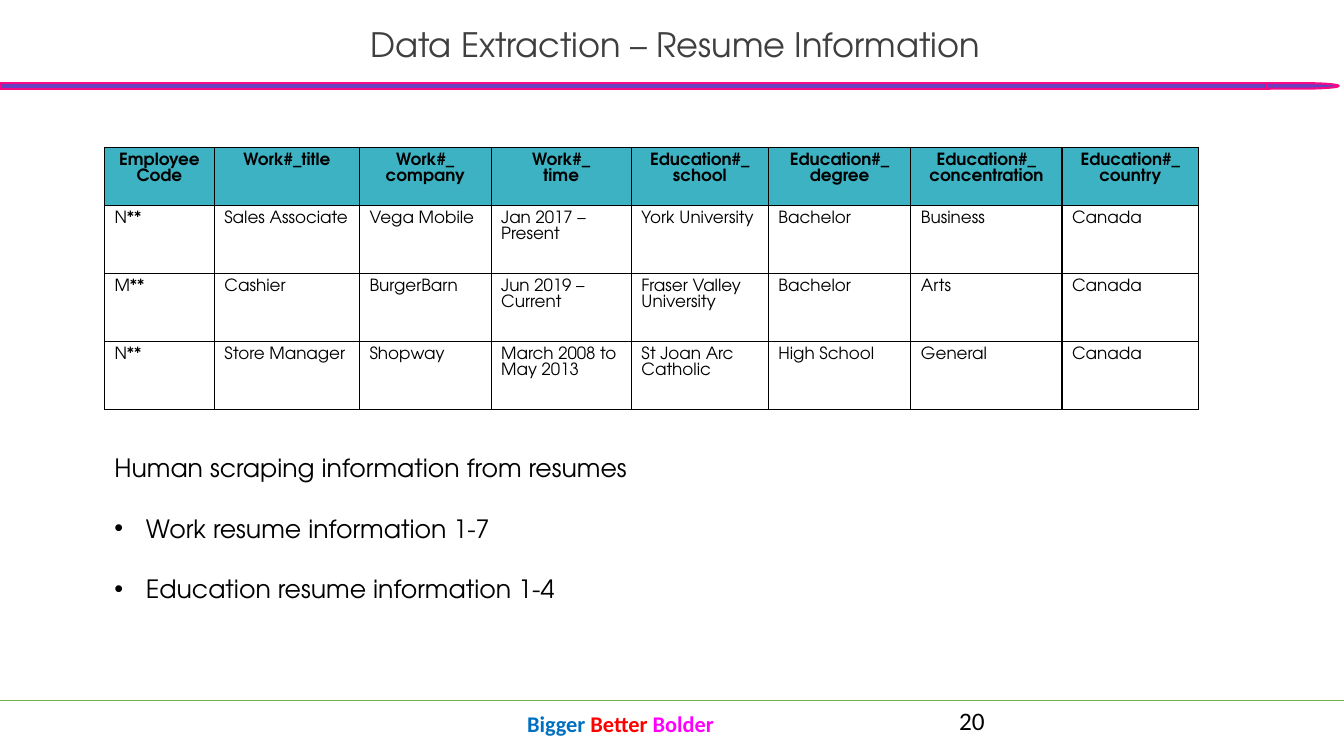
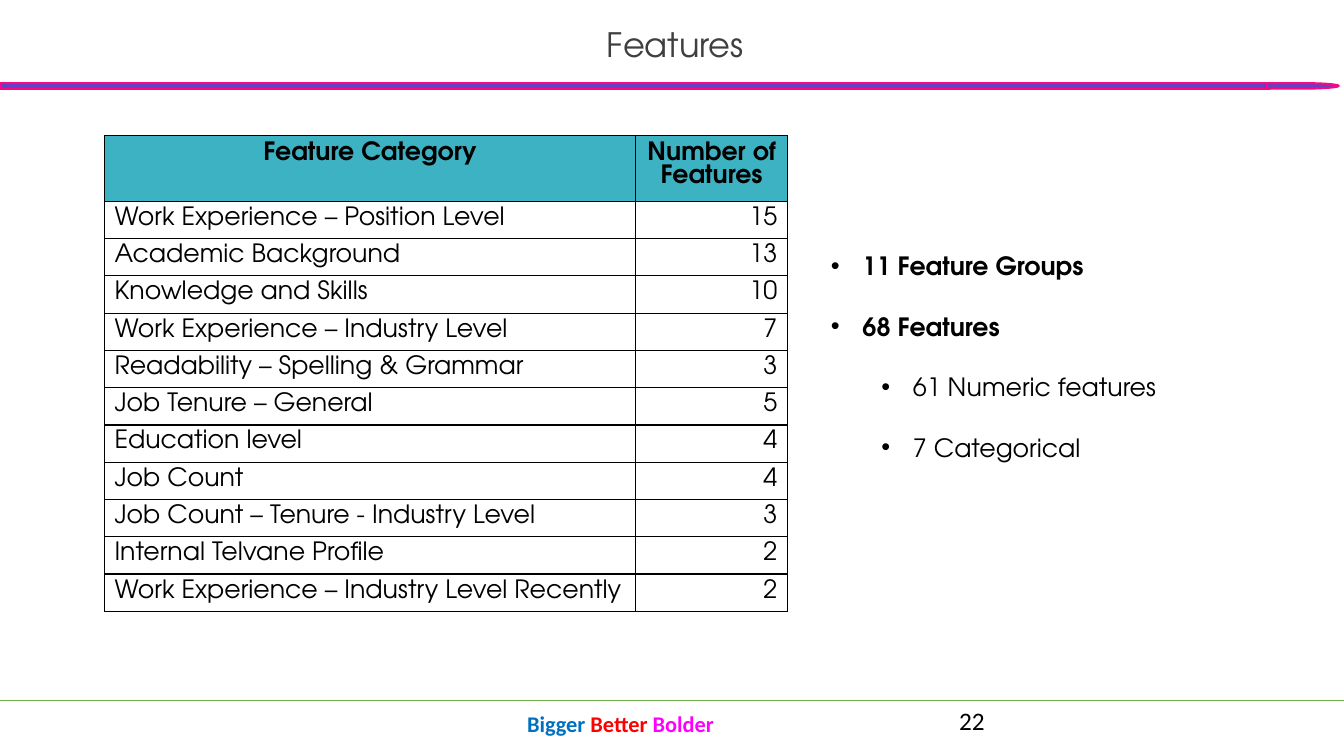
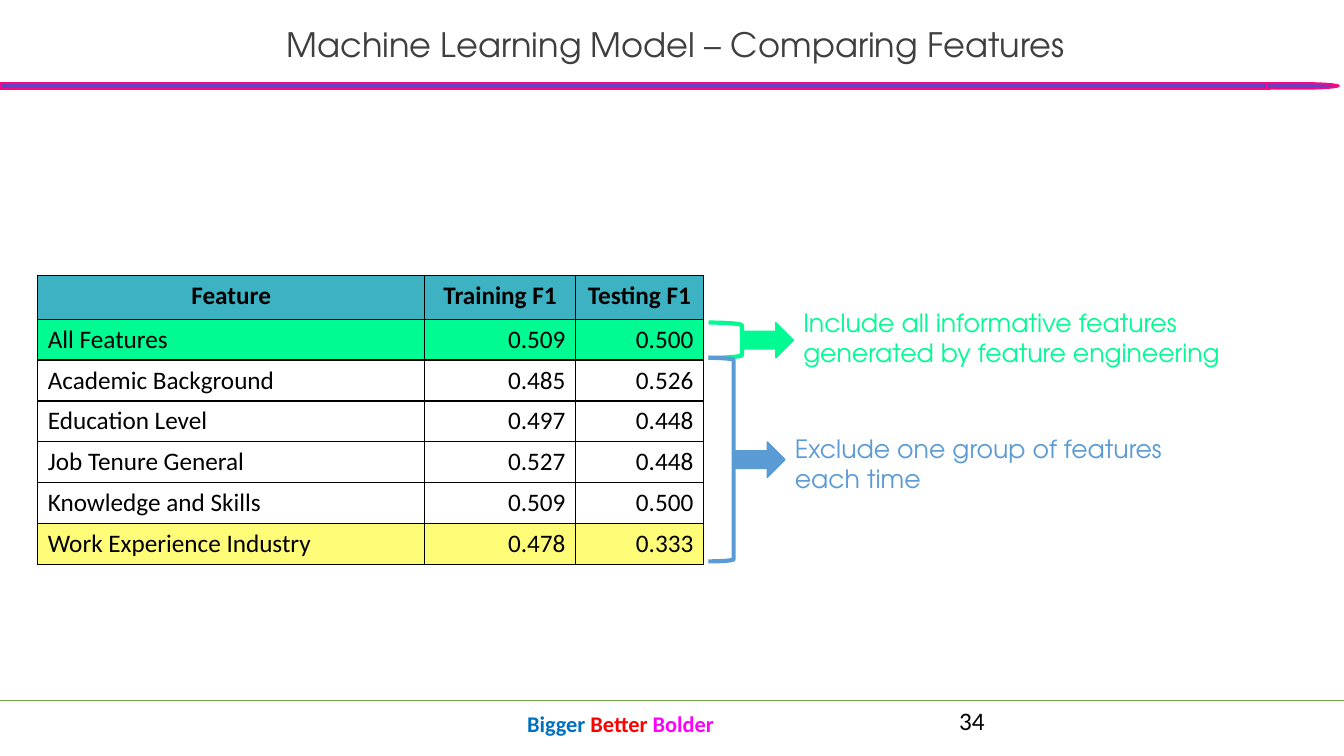
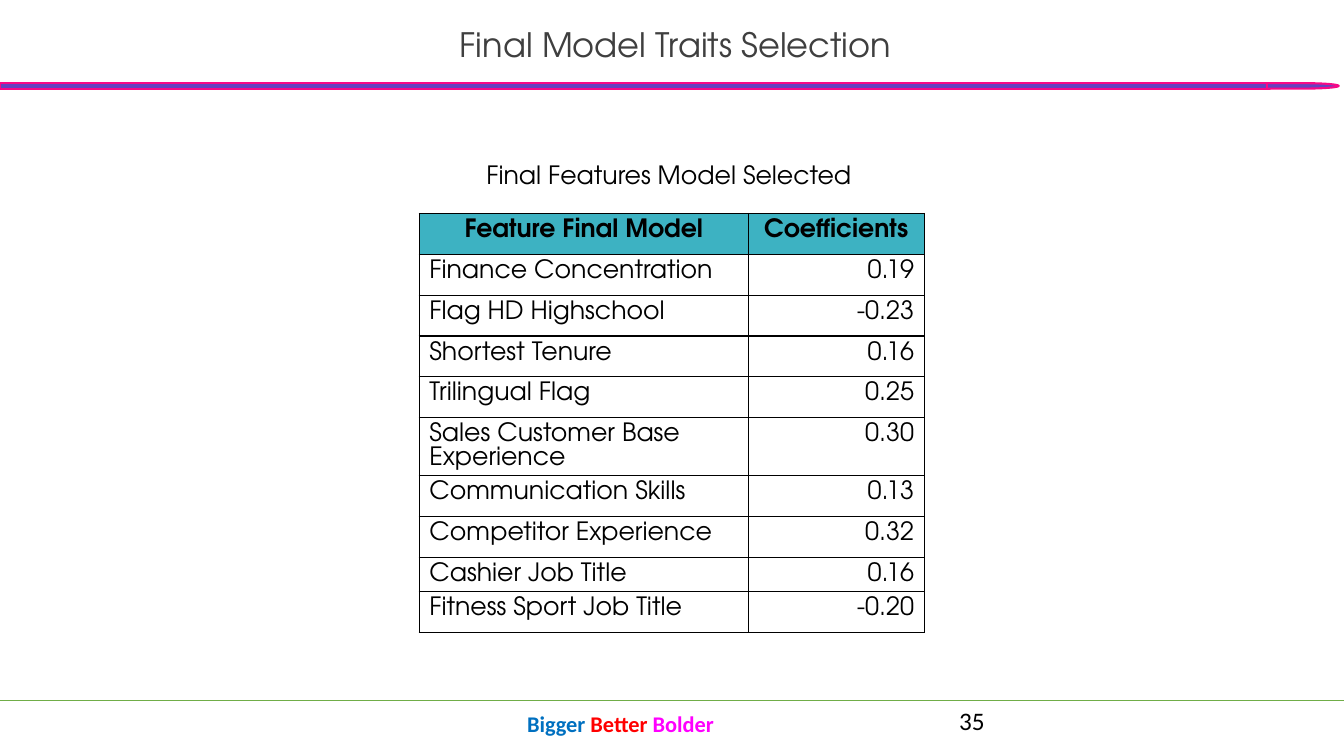
from lxml import etree
from pptx import Presentation
from pptx.dml.color import RGBColor
from pptx.enum.shapes import MSO_CONNECTOR, MSO_SHAPE
from pptx.enum.text import MSO_ANCHOR, MSO_AUTO_SIZE, PP_ALIGN
from pptx.oxml.ns import qn
from pptx.util import Pt

C = {
    "black": "000000", "title": "3F3F3F", "header": "3DB2C2",
    "band": "6540C0", "band_edge": "F70986", "rule": "70AD47",
    "slogan_blue": "0070C0", "slogan_red": "FF0000", "slogan_pink": "FF00FF",
    "green": "00FB92", "blue": "5B9BD5", "yellow": "FFFD78",
}
HEADING, PLAIN = "TeX Gyre Adventor", "Calibri"
SLIDE_W, SLIDE_H = 960, 540
LEFT = 74.6
LINE_GAP = 21.6
TIGHT = 0.95  # line pitch in table cells, as a share of the text size


def rgb(name):
    return RGBColor.from_string(C[name])


def style(p, size=18, font=HEADING, color="black", bold=False):
    for r in p.runs:
        r.font.size = Pt(size)
        r.font.name = font
        r.font.bold = bold
        r.font.color.rgb = rgb(color)


def add_text(s, x, y, w, h, text, wrap=True, **look):
    tf = s.shapes.add_textbox(Pt(x), Pt(y), Pt(w), Pt(h)).text_frame
    tf.word_wrap = wrap
    tf.text = text
    for p in tf.paragraphs:
        style(p, **look)
    return tf


def add_shape(s, kind, x, y, w, h, line, weight, fill=None):
    sp = s.shapes.add_shape(kind, Pt(x), Pt(y), Pt(w), Pt(h))
    sp.shadow.inherit = False
    if fill:
        sp.fill.solid()
        sp.fill.fore_color.rgb = rgb(fill)
    else:
        sp.fill.background()
    sp.line.color.rgb = rgb(line)
    sp.line.width = Pt(weight)
    return sp


def set_bullet(p, left, hang=22.5):
    pPr = p._p.get_or_add_pPr()
    pPr.set("marL", str(Pt(left)))
    pPr.set("indent", str(-Pt(hang)))
    etree.SubElement(pPr, qn("a:buFont"), typeface="Arial")
    etree.SubElement(pPr, qn("a:buChar"), char="•")


def add_list(s, x, y, w, h, items):
    """Items are (text, level, bold); level None means no bullet."""
    tf = add_text(s, x, y, w, h, "\n".join(text for text, _, _ in items))
    for i, (p, (_, level, bold)) in enumerate(zip(tf.paragraphs, items)):
        if i:
            p.space_before = Pt(LINE_GAP)
        if level is not None:
            set_bullet(p, 22.5 + 36 * level)
            p.level = level
        style(p, bold=bold)


def set_borders(cell, weight=1):
    tcPr = cell._tc.get_or_add_tcPr()
    for side in ("a:lnL", "a:lnR", "a:lnT", "a:lnB"):
        ln = etree.SubElement(tcPr, qn(side), w=str(Pt(weight)))
        fill = etree.SubElement(ln, qn("a:solidFill"))
        etree.SubElement(fill, qn("a:srgbClr"), val=C["black"])


def add_grid(s, x, y, cols, heights, rows, size=18, font=HEADING,
             numeric=True, fills=None):
    """Table with a coloured header row; fills maps a row index to a colour."""
    fills = {0: "header", **(fills or {})}
    table = s.shapes.add_table(len(rows), len(cols), Pt(x), Pt(y),
                               Pt(sum(cols)), Pt(sum(heights))).table
    table.first_row = table.horz_banding = False
    for col, width in zip(table.columns, cols):
        col.width = Pt(width)
    for i, (row, height, texts) in enumerate(zip(table.rows, heights, rows)):
        row.height = Pt(height)
        for j, (cell, text) in enumerate(zip(row.cells, texts)):
            set_borders(cell)
            if i in fills:
                cell.fill.solid()
                cell.fill.fore_color.rgb = rgb(fills[i])
            else:
                cell.fill.background()
            cell.text_frame.text = text
            for p in cell.text_frame.paragraphs:
                if i == 0:
                    p.alignment = PP_ALIGN.CENTER
                elif numeric and j:
                    p.alignment = PP_ALIGN.RIGHT
                if font == HEADING:
                    p.line_spacing = Pt(size * TIGHT)
                style(p, size, font, bold=i == 0)


def add_callout(s, x, y, w, h, color, text, text_y, text_w):
    """Bracket in the given box, an arrow from its middle, then the text."""
    arrow_w, arrow_h = 36.7, 25.2
    add_shape(s, MSO_SHAPE.RIGHT_BRACKET, x, y, w, h, color, 3)
    add_shape(s, MSO_SHAPE.RIGHT_ARROW, x + w, y + (h - arrow_h) / 2,
              arrow_w, arrow_h, color, 1, color)
    add_text(s, x + w + arrow_w, text_y, text_w, 51, text, color=color)


def build_layout(layout, s):
    """Draw the shared band, rule and slogan on s and move them to the layout."""
    for ph in list(layout.placeholders)[1:]:
        ph.element.getparent().remove(ph.element)
    rule = s.shapes.add_connector(MSO_CONNECTOR.STRAIGHT, 0, Pt(500.4),
                                  Pt(SLIDE_W), Pt(500.4))
    rule.line.color.rgb = rgb("rule")
    rule.line.width = Pt(0.5)
    etree.SubElement(rule.element.spPr, qn("a:effectLst"))
    for kind, x, w in ((MSO_SHAPE.RECTANGLE, 0, 907),
                       (MSO_SHAPE.FLOWCHART_DELAY, 905, 51.3)):
        add_shape(s, kind, x, 59.4, w, 3.9, "band_edge", 1.5, "band")
    p = add_text(s, 369.4, 504, 168.5, 28.8, "").paragraphs[0]
    for word, color in (("Bigger ", "slogan_blue"), ("Better ", "slogan_red"),
                        ("Bolder", "slogan_pink")):
        r = p.add_run()
        r.text = word
        r.font.size = Pt(16)
        r.font.name = PLAIN
        r.font.bold = True
        r.font.color.rgb = rgb(color)
    for sp in list(s.shapes):
        if not sp.is_placeholder:
            layout.shapes.element.append(sp.element)


def set_title(s, text, number):
    title = s.shapes.title
    title.left, title.top, title.width, title.height = (
        Pt(176), Pt(5.8), Pt(612.7), Pt(43.9))
    tf = title.text_frame
    tf.text = text
    tf.auto_size = MSO_AUTO_SIZE.NONE
    tf.vertical_anchor = MSO_ANCHOR.BOTTOM
    p = tf.paragraphs[0]
    p.alignment = PP_ALIGN.CENTER
    p.line_spacing = 0.9
    style(p, 24, color="title")
    add_text(s, 678, 500.4, 216, 28.8, str(number), font=PLAIN)


def resume_slide(s):
    rows = [
        ("Employee Code", "Work#_title", "Work#_\ncompany", "Work#_\ntime",
         "Education#_\nschool", "Education#_\ndegree",
         "Education#_\nconcentration", "Education#_\ncountry"),
        ("N**", "Sales Associate", "Vega Mobile", "Jan 2017 –\nPresent",
         "York University", "Bachelor", "Business", "Canada"),
        ("M**", "Cashier", "BurgerBarn", "Jun 2019 –\nCurrent",
         "Fraser Valley University", "Bachelor", "Arts", "Canada"),
        ("N**", "Store Manager", "Shopway", "March 2008 to May 2013",
         "St Joan Arc Catholic", "High School", "General", "Canada"),
    ]
    add_grid(s, LEFT, 105.3, [78.5, 103.7, 94, 100.2, 97.9, 101.8, 107.9, 97.7],
             [41.5] + [48.6] * 3, rows, size=12, numeric=False)
    add_list(s, LEFT, 319.7, 759.6, 167, [
        ("Human scraping information from resumes", None, False),
        ("Work resume information 1-7", 0, False),
        ("Education resume information 1-4", 0, False)])


def features_slide(s):
    rows = [
        ("Feature Category", "Number of Features"),
        ("Work Experience – Position Level", "15"),
        ("Academic Background", "13"),
        ("Knowledge and Skills", "10"),
        ("Work Experience – Industry Level", "7"),
        ("Readability – Spelling & Grammar", "3"),
        ("Job Tenure – General", "5"),
        ("Education level", "4"),
        ("Job Count", "4"),
        ("Job Count – Tenure - Industry Level", "3"),
        ("Internal Telvane Profile", "2"),
        ("Work Experience – Industry Level Recently", "2"),
    ]
    add_grid(s, LEFT, 97, [379.6, 108.2], [46.8] + [26.62] * 11, rows)
    add_list(s, 586.5, 175.4, 304.6, 189.4, [
        ("11 Feature Groups", 0, True), ("68 Features", 0, True),
        ("61 Numeric features", 1, False), ("7 Categorical", 1, False)])


def comparison_slide(s):
    rows = [
        ("Feature", "Training F1", "Testing F1"),
        ("All Features", "0.509", "0.500"),
        ("Academic Background", "0.485", "0.526"),
        ("Education Level", "0.497", "0.448"),
        ("Job Tenure General", "0.527", "0.448"),
        ("Knowledge and Skills", "0.509", "0.500"),
        ("Work Experience Industry", "0.478", "0.333"),
    ]
    add_grid(s, 27, 197, [276.3, 107.8, 91.4], [31] + [29.2] * 6, rows,
             font=PLAIN, fills={1: "green", 6: "yellow"})
    add_callout(s, 506.2, 230.4, 23.8, 25.2, "green",
                "Include all informative features generated by feature engineering",
                216, 312.5)
    add_callout(s, 506, 255.6, 18, 145.4, "blue",
                "Exclude one group of features each time", 305.8, 283.7)


def final_model_slide(s):
    rows = [
        ("Feature Final Model", "Coefficients"),
        ("Finance Concentration", "0.19"),
        ("Flag HD Highschool", "-0.23"),
        ("Shortest Tenure", "0.16"),
        ("Trilingual Flag", "0.25"),
        ("Sales Customer Base Experience", "0.30"),
        ("Communication Skills", "0.13"),
        ("Competitor Experience", "0.32"),
        ("Cashier Job Title", "0.16"),
        ("Fitness Sport Job Title", "-0.20"),
    ]
    row = 29.2
    add_grid(s, 299.5, 152.4, [235, 125.6],
             [row] * 5 + [40.7] + [row] * 2 + [23.8, row], rows)
    add_text(s, 340.3, 110.2, 279.4, 28.8, "Final Features Model Selected",
             wrap=False)


def main():
    prs = Presentation()
    prs.slide_width, prs.slide_height = Pt(SLIDE_W), Pt(SLIDE_H)
    layout = prs.slide_layouts[5]
    slides = [
        ("Data Extraction – Resume Information", 20, resume_slide),
        ("Features", 22, features_slide),
        ("Machine Learning Model – Comparing Features", 34, comparison_slide),
        ("Final Model Traits Selection", 35, final_model_slide),
    ]
    for i, (title, number, fill_slide) in enumerate(slides):
        s = prs.slides.add_slide(layout)
        if i == 0:
            build_layout(layout, s)
        set_title(s, title, number)
        fill_slide(s)
    prs.save("out.pptx")


if __name__ == "__main__":
    main()
